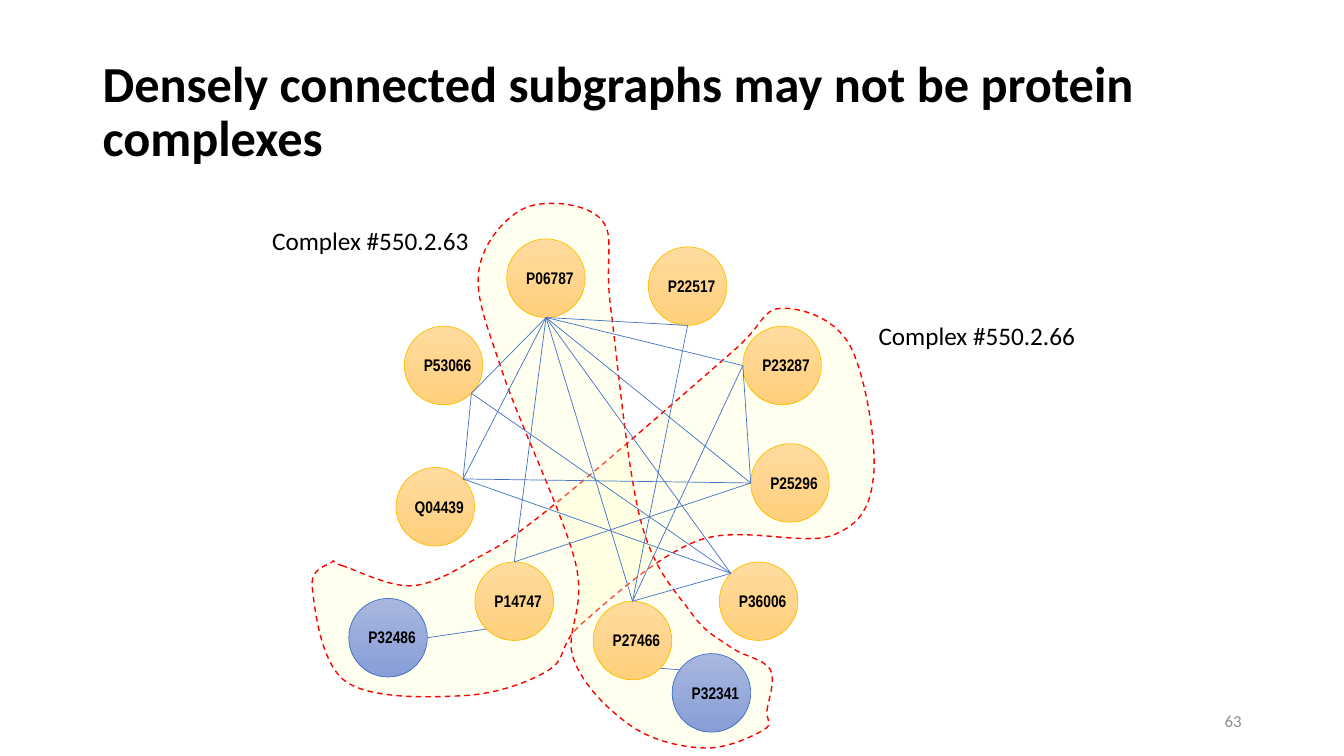
from math import cos, radians, sin

from lxml.etree import SubElement
from pptx import Presentation
from pptx.dml.color import RGBColor
from pptx.enum.dml import MSO_LINE
from pptx.enum.shapes import MSO_CONNECTOR, MSO_SHAPE
from pptx.enum.text import MSO_ANCHOR, MSO_AUTO_SIZE, PP_ALIGN
from pptx.oxml.ns import qn
from pptx.util import Cm, Pt

BLACK = RGBColor(0x00, 0x00, 0x00)
GREY = RGBColor(0x8C, 0x8C, 0x8C)
RED = RGBColor(0xFF, 0x00, 0x00)
CREAM = RGBColor(0xFF, 0xFF, 0xCC)
GOLD = RGBColor(0xFF, 0xC0, 0x00)
GOLD_TOP = RGBColor(0xFF, 0xDB, 0x9E)
GOLD_END = RGBColor(0xFF, 0xD0, 0x7C)
BLUE = RGBColor(0x44, 0x72, 0xC4)
BLUE_TOP = RGBColor(0xA8, 0xB7, 0xDF)
BLUE_END = RGBColor(0x88, 0x9E, 0xD7)
GOLD_STYLE = (GOLD_TOP, GOLD_END, GOLD)
BLUE_STYLE = (BLUE_TOP, BLUE_END, BLUE)

DIAMETER = 1.98
TOP, TOP_RIGHT, RIGHT, BOTTOM_RIGHT = -90, -45, 0, 45
BOTTOM, BOTTOM_LEFT, LEFT, TOP_LEFT = 90, 135, 180, 225

PROTEINS = {
    "P06787": (4.97, 0.82, BOTTOM),
    "P53066": (2.39, 3.02, BOTTOM_RIGHT),
    "Q04439": (2.18, 6.58, TOP_RIGHT),
    "P14747": (4.17, 8.96, TOP),
    "P27466": (7.15, 9.95, TOP),
    "P36006": (10.33, 8.96, TOP_LEFT),
    "P25296": (11.12, 5.98, LEFT),
    "P23287": (10.92, 3.02, LEFT),
    "P22517": (8.54, 1.02, BOTTOM),
}
ADDED_PROTEINS = {
    "P32486": (0.99, 9.88, RIGHT, "P14747", BOTTOM_LEFT),
    "P32341": (9.14, 11.27, 216, "P27466", BOTTOM_RIGHT),
}
INTERACTIONS = {
    "P06787": ["P53066", "Q04439", "P27466", "P36006", "P25296", "P23287",
               "P22517", "P14747"],
    "P53066": ["P36006", "Q04439"],
    "Q04439": ["P36006", "P25296"],
    "P25296": ["P14747", "P23287"],
    "P27466": ["P36006", "P22517", "P23287"],
}
COMPLEX_66 = [
    (0.81, 9.05), (2.61, 9.56), (4.39, 8.77), (5.54, 8.01), (7.47, 6.43),
    (10.72, 3.61), (11.89, 2.57), (13.61, 3.49), (14.22, 6.74), (13.18, 8.29),
    (9.83, 8.41), (6.88, 10.5), (6.02, 11.69), (3.88, 12.33), (0.91, 11.97),
    (0.07, 9.61), (0.56, 8.97),
]
COMPLEX_63 = [
    (11.53, 12.71), (11.61, 11.67), (10.62, 11.11), (9.62, 10.24),
    (8.35, 7.93), (7.59, 2.55), (7.36, 0.34), (5.46, 0.03), (4.27, 1.61),
    (4.87, 4.2), (6.7, 8.97), (6.65, 11.39), (8.13, 13.11), (9.98, 13.65),
    (11.45, 13.19),
]


def format_text(tf, text, size, color=BLACK, font="Calibri", bold=False,
                align=PP_ALIGN.LEFT):
    """Write one formatted paragraph into a text frame."""
    tf.text = text
    p = tf.paragraphs[0]
    p.alignment = align
    f = p.runs[0].font
    f.name, f.size, f.bold = font, Pt(size), bold
    f.color.rgb = color


def round_corners(sp):
    """Turn the closed polygon of a freeform into a smooth closed curve."""
    outline = next(sp._element.iter(qn("a:path")))
    points = [(int(pt.get("x")), int(pt.get("y")))
              for pt in outline.iter(qn("a:pt"))][:-1]
    n = len(points)
    for i, segment in enumerate(outline.findall(qn("a:lnTo"))):
        before, start, end, after = (points[(i + k) % n] for k in (-1, 0, 1, 2))
        curve = outline.makeelement(qn("a:cubicBezTo"))
        leave = [b + (c - a) / 6 for a, b, c in zip(before, start, end)]
        arrive = [b - (c - a) / 6 for a, b, c in zip(start, end, after)]
        for x, y in (leave, arrive, end):
            SubElement(curve, qn("a:pt"), x=str(round(x)), y=str(round(y)))
        outline.replace(segment, curve)


def add_complex(s, x, y, anchors):
    """Draw the dashed translucent outline of a complex."""
    points = [(Cm(x + px), Cm(y + py)) for px, py in anchors]
    fb = s.shapes.build_freeform(*points[0])
    fb.add_line_segments(points[1:] + points[:1], close=True)
    sp = fb.convert_to_shape()
    round_corners(sp)
    sp.shadow.inherit = False
    sp.fill.solid()
    sp.fill.fore_color.rgb = CREAM
    color = sp._element.spPr.find(qn("a:solidFill"))[0]
    SubElement(color, qn("a:alpha"), val="30000")
    sp.line.color.rgb = RED
    sp.line.width = Pt(1)
    sp.line.dash_style = MSO_LINE.DASH


def add_protein(s, x, y, name, style):
    """Draw a protein circle grouped with its label."""
    start, end, outline = style
    group = s.shapes.add_group_shape()
    sp = group.shapes.add_shape(MSO_SHAPE.OVAL, Cm(x), Cm(y),
                                Cm(DIAMETER), Cm(DIAMETER))
    sp.shadow.inherit = False
    sp.fill.gradient()
    sp.fill.gradient_angle = 270
    for stop, color in zip(sp.fill.gradient_stops, (start, end)):
        stop.color.rgb = color
    sp.line.color.rgb = outline
    sp.line.width = Pt(0.5)
    tf = group.shapes.add_textbox(Cm(x + 0.2), Cm(y + 0.6),
                                  Cm(1.78), Cm(0.76)).text_frame
    tf.word_wrap = True
    tf.auto_size = MSO_AUTO_SIZE.SHAPE_TO_FIT_TEXT
    format_text(tf, name, 12, font="Arial Narrow", bold=True,
                align=PP_ALIGN.CENTER)


def rim(x, y, angle):
    """Return the point of a protein circle at an angle."""
    radius = DIAMETER / 2
    return (Cm(x + radius + radius * cos(radians(angle))),
            Cm(y + radius + radius * sin(radians(angle))))


def add_interaction(s, begin, end):
    """Draw a thin line between two points."""
    line = s.shapes.add_connector(MSO_CONNECTOR.STRAIGHT, *begin, *end)
    line.line.color.rgb = BLUE
    line.line.width = Pt(0.5)
    SubElement(line._element.spPr, qn("a:effectLst"))


def add_complex_label(s, x, y, w, text):
    """Write the name of a complex."""
    tf = s.shapes.add_textbox(Cm(x), Cm(y), Cm(w), Cm(1.02)).text_frame
    tf.word_wrap = False
    tf.auto_size = MSO_AUTO_SIZE.SHAPE_TO_FIT_TEXT
    format_text(tf, text, 18)


def add_network(s, x, y):
    """Draw the complexes, proteins and interactions from a top left corner."""
    add_complex(s, x, y, COMPLEX_66)
    add_complex(s, x, y, COMPLEX_63)
    for name, (px, py, _) in PROTEINS.items():
        add_protein(s, x + px, y + py, name, GOLD_STYLE)
    sites = {name: rim(x + px, y + py, angle)
             for name, (px, py, angle) in PROTEINS.items()}
    for name, partners in INTERACTIONS.items():
        for partner in partners:
            add_interaction(s, sites[name], sites[partner])
    for name, (px, py, angle, partner, partner_angle) in ADDED_PROTEINS.items():
        add_protein(s, x + px, y + py, name, BLUE_STYLE)
        qx, qy, _ = PROTEINS[partner]
        add_interaction(s, rim(x + px, y + py, angle),
                        rim(x + qx, y + qy, partner_angle))
    add_complex_label(s, x + 14.09, y + 2.74, 5.51, "Complex #550.2.66")
    add_complex_label(s, x - 1.19, y + 0.36, 5.72, "Complex #550.2.63")


def add_title(s, x, y, w, h):
    """Place and format the slide title."""
    title = s.shapes.title
    title.left, title.top, title.width, title.height = Cm(x), Cm(y), Cm(w), Cm(h)
    tf = title.text_frame
    tf.vertical_anchor = MSO_ANCHOR.MIDDLE
    format_text(tf, "Densely connected subgraphs may not be protein complexes",
                36, bold=True)
    tf.paragraphs[0].line_spacing = 0.9


def add_page_number(s, x, y, w, h):
    """Write the page number."""
    tf = s.shapes.add_textbox(Cm(x), Cm(y), Cm(w), Cm(h)).text_frame
    tf.word_wrap = True
    tf.vertical_anchor = MSO_ANCHOR.MIDDLE
    format_text(tf, "63", 12, GREY, align=PP_ALIGN.RIGHT)


def main():
    """Build and save the slide."""
    prs = Presentation()
    prs.slide_width, prs.slide_height = Cm(33.87), Cm(19.05)
    s = prs.slides.add_slide(prs.slide_layouts[5])
    add_title(s, 2.33, 1.01, 29.21, 3.68)
    add_page_number(s, 23.92, 17.65, 7.62, 1.02)
    add_network(s, 7.8, 5.2)
    prs.save("out.pptx")


if __name__ == "__main__":
    main()
